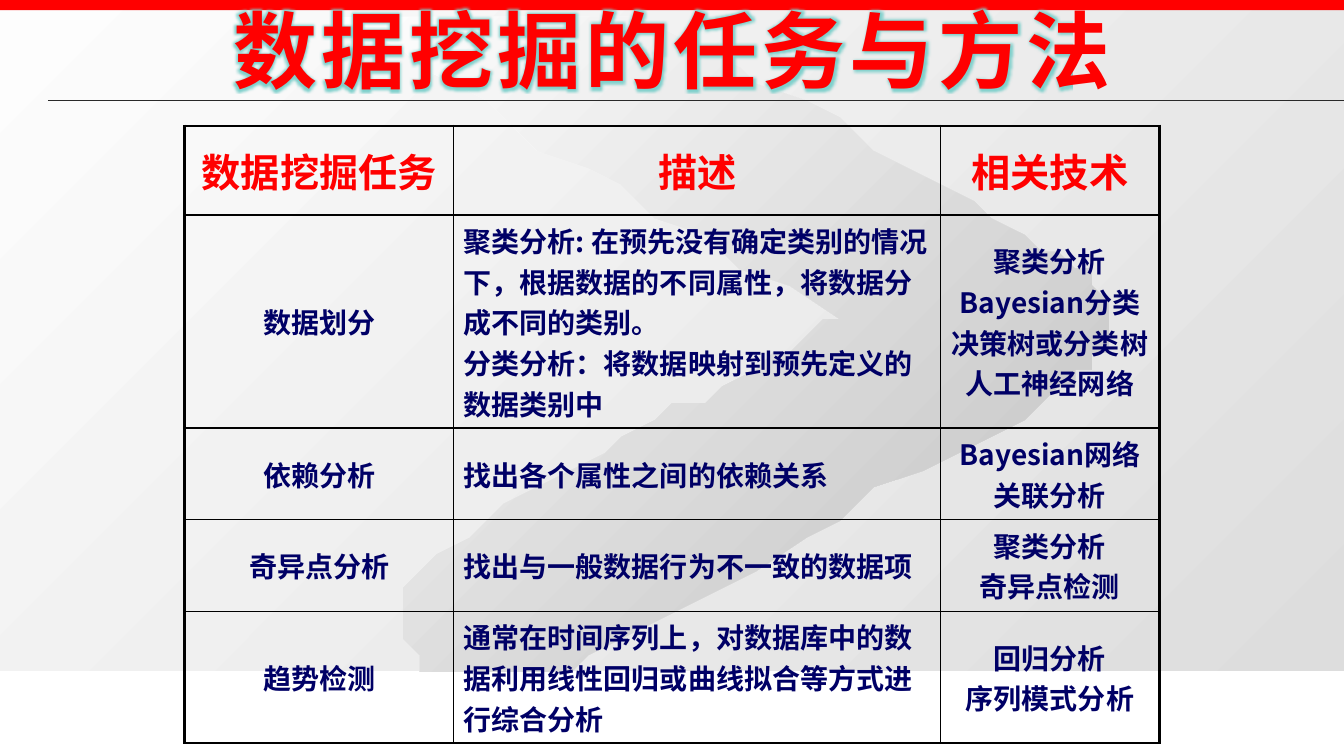
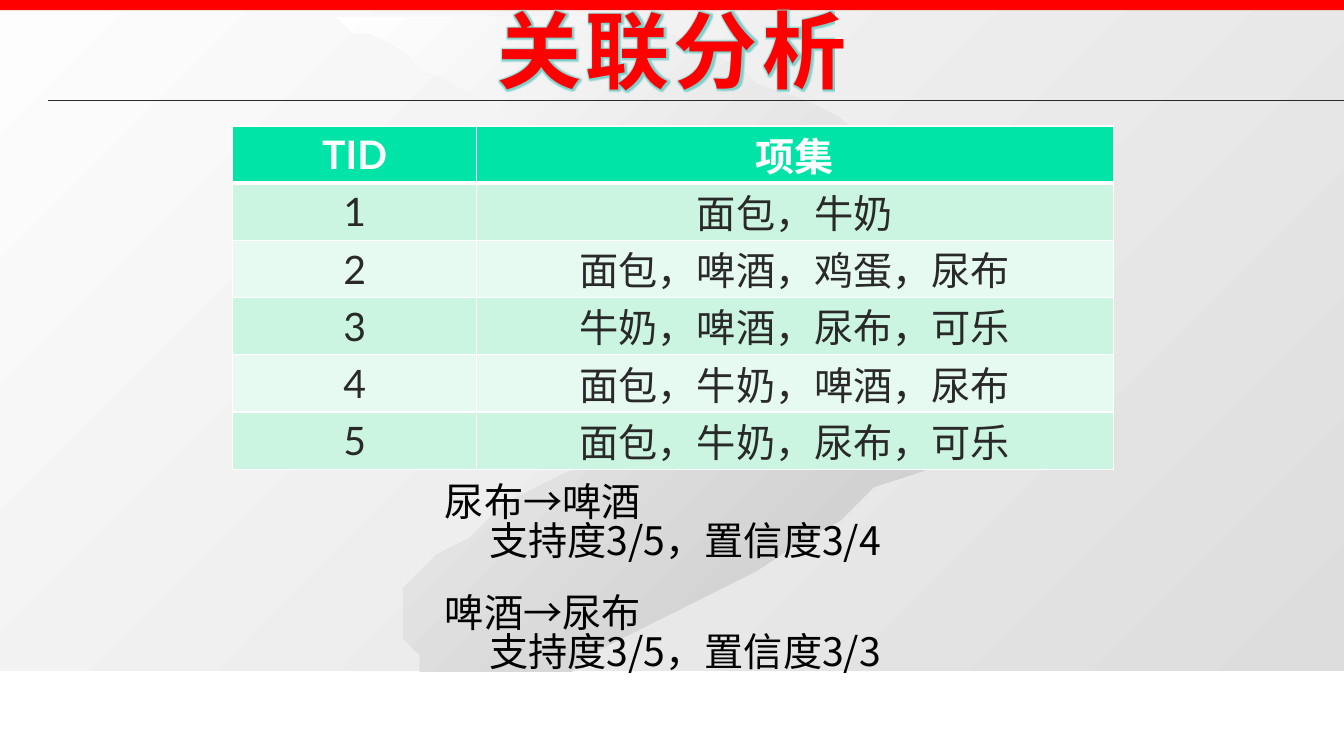
from dataclasses import dataclass

import pptx
import pptx.dml.color
import pptx.enum.shapes
import pptx.enum.text
import pptx.oxml
import pptx.oxml.ns
import pptx.util

COLUMNS, ROWS = 80, 45
UNIT = pptx.util.Inches(1 / 6)
SANS_SC = "Noto Sans CJK SC"
SANS_JP = "Noto Sans CJK JP"
RED, NAVY, INK, BLACK, WHITE = "FF0000", "000066", "292929", "000000", "FFFFFF"
GLOW, OUTLINE = "7FD0CC", "FFF4F4"
MINT, PALE, EMERALD = "CCF5E1", "E7FAF1", "00E4A8"
CENTER = pptx.enum.text.PP_ALIGN.CENTER
LEFT = pptx.enum.text.PP_ALIGN.LEFT
MIDDLE = pptx.enum.text.MSO_ANCHOR.MIDDLE
TOP = pptx.enum.text.MSO_ANCHOR.TOP
RECTANGLE = pptx.enum.shapes.MSO_SHAPE.RECTANGLE

Point = tuple[float, float]

CHEVRON_START = (63.84, 22.56)
CHEVRON = [
    [(61.14, 24.24), (39.36, 37.2), (34.32, 39.84)],
    [(25.62, 39.84)],
    [(24.24, 38.7), (21.84, 36.48), (25.86, 33)],
    [(37.62, 25.98), (45, 21.66), (49.98, 18.9)],
    [(34.74, 10.14), (23.34, 3.18), (19.44, 0.6)],
    [(28.38, 0.48), (37.26, 0.6), (37.26, 0.6)],
    [(43.14, 3.9), (61.08, 13.8), (63.84, 15.54)],
    [(66.66, 17.34), (66.54, 20.82), (63.84, 22.56)],
]


@dataclass(frozen=True)
class Area:
    column: float
    row: float
    width: float
    height: float

    def emu(self) -> list[int]:
        return [grid(n) for n in (self.column, self.row, self.width, self.height)]


@dataclass(frozen=True)
class Style:
    size: float
    color: str
    latin: str
    bold: bool = False
    asian: str = SANS_SC


@dataclass(frozen=True)
class Rule:
    association: str
    measures: str


TITLE = Style(60, RED, SANS_SC, True)
TASK_HEAD = Style(28, RED, SANS_SC, True)
TASK_BODY = Style(20, NAVY, SANS_JP, True, SANS_JP)
ITEM_HEAD = Style(28, WHITE, "Lato", True)
ITEM_BODY = Style(28, INK, "Lato")
RULE_TEXT = Style(28, BLACK, SANS_JP, False, SANS_JP)

TASKS = [
    ("数据挖掘任务", "描述", "相关技术"),
    ("数据划分",
     "聚类分析: 在预先没有确定类别的情况下，根据数据的不同属性，将数据分成不同的类别。\n"
     "分类分析：将数据映射到预先定义的数据类别中",
     "聚类分析\nBayesian分类\n决策树或分类树\n人工神经网络"),
    ("依赖分析", "找出各个属性之间的依赖关系", "Bayesian网络\n关联分析"),
    ("奇异点分析", "找出与一般数据行为不一致的数据项", "聚类分析\n奇异点检测"),
    ("趋势检测",
     "通常在时间序列上，对数据库中的数据利用线性回归或曲线拟合等方式进行综合分析",
     "回归分析\n序列模式分析"),
]
ITEMS = [
    ("TID", "项集"),
    ("1", "面包，牛奶"),
    ("2", "面包，啤酒，鸡蛋，尿布"),
    ("3", "牛奶，啤酒，尿布，可乐"),
    ("4", "面包，牛奶，啤酒，尿布"),
    ("5", "面包，牛奶，尿布，可乐"),
]
RULES = [
    Rule("尿布→啤酒", "支持度3/5，置信度3/4"),
    Rule("啤酒→尿布", "支持度3/5，置信度3/3"),
]


def grid(count: float) -> int:
    return round(count * UNIT)


def rgb(value: str) -> pptx.dml.color.RGBColor:
    return pptx.dml.color.RGBColor.from_string(value)


def element(tag: str, inner: str = "", attributes: str = ""):
    names = pptx.oxml.ns.nsdecls("a")
    return pptx.oxml.parse_xml(f"<a:{tag} {names} {attributes}>{inner}</a:{tag}>")


def solid(color: str) -> str:
    return f'<a:solidFill><a:srgbClr val="{color}"/></a:solidFill>'


def format_runs(frame, style: Style) -> None:
    for para in frame.paragraphs:
        for span in para.runs:
            span.font.size = pptx.util.Pt(style.size)
            span.font.bold = style.bold
            span.font.color.rgb = rgb(style.color)
            span.font.name = style.latin
            latin = span.font._element.find(pptx.oxml.ns.qn("a:latin"))
            latin.addnext(element("ea", attributes=f'typeface="{style.asian}"'))


def paint_gradient(shape, start: str, end: str) -> None:
    shape.shadow.inherit = False
    shape.line.fill.background()
    shape.fill.gradient()
    shape.fill.gradient_angle = 315
    for stop, color in zip(shape.fill.gradient_stops, (start, end)):
        stop.color.rgb = rgb(color)


def bezier(start: Point, controls: list[Point], steps: int = 16) -> list[Point]:
    first, second, end = controls
    points = []
    for step in range(1, steps + 1):
        t = step / steps
        weights = ((1 - t) ** 3, 3 * t * (1 - t) ** 2, 3 * t * t * (1 - t), t ** 3)
        corners = (start, first, second, end)
        points.append(tuple(sum(w * p[axis] for w, p in zip(weights, corners)) for axis in (0, 1)))
    return points


def draw_chevron(page) -> None:
    outline, last = [], CHEVRON_START
    for segment in CHEVRON:
        outline += bezier(last, segment) if len(segment) == 3 else segment
        last = segment[-1]
    builder = page.shapes.build_freeform(*CHEVRON_START, scale=UNIT)
    builder.add_line_segments(outline, close=True)
    paint_gradient(builder.convert_to_shape(), WHITE, "C0C0C0")


def draw_title(page, title: str) -> None:
    box = page.shapes.add_textbox(*Area(12, -0.18, 56, 6.66).emu())
    frame = box.text_frame
    frame.word_wrap = True
    frame.vertical_anchor = MIDDLE
    frame.margin_bottom = pptx.util.Inches(0.13)
    frame.text = title
    frame.paragraphs[0].alignment = CENTER
    format_runs(frame, TITLE)
    properties = frame.paragraphs[0].runs[0].font._element
    properties.set("spc", "300")
    properties.insert(0, element("ln", solid(OUTLINE), 'w="11430"'))
    glow = f'<a:glow rad="50800"><a:srgbClr val="{GLOW}"/></a:glow>'
    properties.find(pptx.oxml.ns.qn("a:solidFill")).addnext(element("effectLst", glow))


def add_page(deck, title: str):
    page = deck.slides.add_slide(deck.slide_layouts[6])
    backdrop = page.shapes.add_shape(RECTANGLE, *Area(0, 0.5, COLUMNS, 39.4).emu())
    paint_gradient(backdrop, "FDFDFD", "DDDDDD")
    draw_chevron(page)
    band = page.shapes.add_shape(RECTANGLE, *Area(0, 0, COLUMNS, 0.6).emu())
    band.shadow.inherit = False
    band.fill.solid()
    band.fill.fore_color.rgb = rgb(RED)
    band.line.fill.background()
    rule = page.shapes.add_connector(
        pptx.enum.shapes.MSO_CONNECTOR.STRAIGHT, grid(2.85), grid(6), grid(COLUMNS), grid(6))
    rule.line.color.rgb = rgb(INK)
    rule.line.width = pptx.util.Pt(1)
    rule._element.spPr.append(element("effectLst"))
    draw_title(page, title)
    return page


def add_grid_table(page, area: Area, rows: list, widths: list[float], heights: list[float]):
    table = page.shapes.add_table(len(rows), len(widths), *area.emu()).table
    table.first_row = False
    table.horz_banding = False
    for column, width in zip(table.columns, widths):
        column.width = grid(width)
    for row, height in zip(table.rows, heights):
        row.height = grid(height)
    return table


def fill_cell(cell, text: str, style: Style, alignment, anchor) -> None:
    cell.text_frame.text = text
    cell.vertical_anchor = anchor
    for para in cell.text_frame.paragraphs:
        para.alignment = alignment
    format_runs(cell.text_frame, style)


def set_borders(cell, color: str, left: float, right: float, top: float, bottom: float) -> None:
    properties = cell._tc.get_or_add_tcPr()
    sides = zip(("lnL", "lnR", "lnT", "lnB"), (left, right, top, bottom))
    for index, (side, width) in enumerate(sides):
        properties.insert(index, element(side, solid(color), f'w="{round(width * 12700)}"'))


def draw_tasks(page) -> None:
    widths, heights = [16, 29, 13], [5.3, 12.68, 5.45, 5.45, 7.85]
    table = add_grid_table(page, Area(11, 7.5, sum(widths), sum(heights)), TASKS, widths, heights)
    last_row, last_column = len(TASKS) - 1, len(widths) - 1
    for r, texts in enumerate(TASKS):
        for c, text in enumerate(texts):
            cell = table.cell(r, c)
            alignment = LEFT if r and c == 1 else CENTER
            fill_cell(cell, text, TASK_BODY if r else TASK_HEAD, alignment, MIDDLE)
            cell.fill.background()
            edges = (c == 0, c == last_column, r == 0, r == last_row)
            set_borders(cell, BLACK, *(2.25 if edge else 1 for edge in edges))


def draw_items(page) -> None:
    widths, heights = [14.5, 37.9], [3.4] * len(ITEMS)
    table = add_grid_table(page, Area(13.86, 7.5, sum(widths), sum(heights)), ITEMS, widths, heights)
    for r, texts in enumerate(ITEMS):
        for c, text in enumerate(texts):
            cell = table.cell(r, c)
            fill_cell(cell, text, ITEM_BODY if r else ITEM_HEAD, CENTER, TOP)
            if c == 1:
                cell.margin_top = cell.margin_bottom = 0
            cell.fill.solid()
            cell.fill.fore_color.rgb = rgb((MINT if r % 2 else PALE) if r else EMERALD)
            set_borders(cell, WHITE, 1, 1, 3 if r == 1 else 1, 3 if r == 0 else 1)


def draw_rules(page) -> None:
    for index, rule in enumerate(RULES):
        box = page.shapes.add_textbox(*Area(25.9, 28.6 + 6.58 * index, 34.2, 6.24).emu())
        frame = box.text_frame
        frame.word_wrap = True
        frame.text = f"{rule.association}\n{rule.measures}"
        format_runs(frame, RULE_TEXT)
        for para in frame.paragraphs:
            para.line_spacing = 0.83
        frame.paragraphs[1]._p.get_or_add_pPr().set("marL", str(grid(2.64)))


def main() -> None:
    deck = pptx.Presentation()
    deck.slide_width, deck.slide_height = grid(COLUMNS), grid(ROWS)
    draw_tasks(add_page(deck, "数据挖掘的任务与方法"))
    association_page = add_page(deck, "关联分析")
    draw_items(association_page)
    draw_rules(association_page)
    deck.save("out.pptx")


if __name__ == "__main__":
    main()
